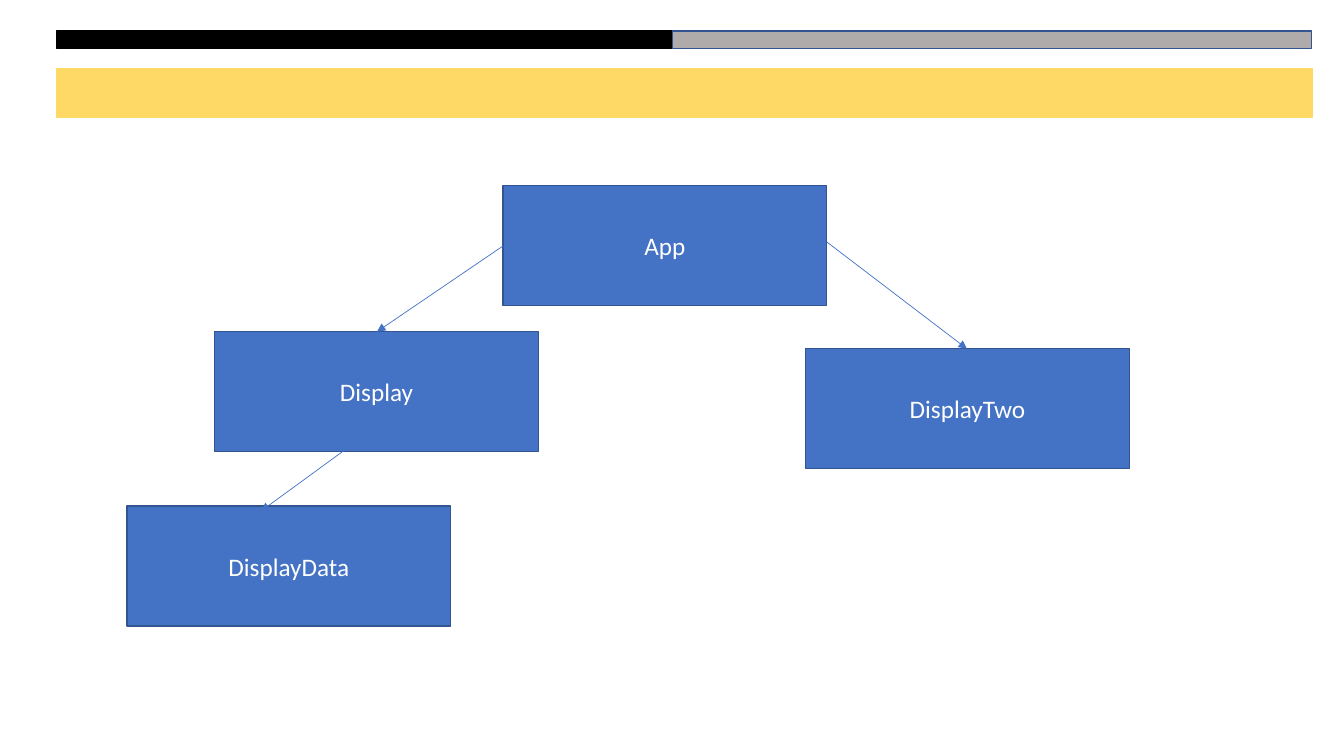
from lxml import etree
from pptx import Presentation
from pptx.dml.color import RGBColor
from pptx.enum.shapes import MSO_CONNECTOR, MSO_SHAPE
from pptx.enum.text import MSO_ANCHOR, PP_ALIGN
from pptx.oxml.ns import qn
from pptx.util import Inches, Pt

BLACK = RGBColor(0x00, 0x00, 0x00)
WHITE = RGBColor(0xFF, 0xFF, 0xFF)
GRAY = RGBColor(0xAF, 0xAB, 0xAB)
YELLOW = RGBColor(0xFF, 0xD9, 0x66)
BLUE = RGBColor(0x44, 0x72, 0xC4)
DARK_BLUE = RGBColor(0x32, 0x54, 0x91)

BARS = [
    (0.56, 0.68, 12.46, 0.48, YELLOW, YELLOW),
    (0.56, 0.31, 8.33, 0.17, BLACK, BLACK),
    (6.67, 0.31, 6.34, 0.17, GRAY, DARK_BLUE),
]
BOX_WIDTH, BOX_HEIGHT = 3.21, 1.19
COMPONENTS = {
    "App": (4.99, 1.84),
    "Display": (2.13, 3.29),
    "DisplayData": (1.26, 5.02),
    "DisplayTwo": (7.99, 3.46),
}
ARROWS = [
    ((4.99, 2.44), (3.74, 3.29)),
    ((3.74, 4.23), (2.59, 5.07)),
    ((8.2, 2.4), (9.59, 3.46)),
]

prs = Presentation()
prs.slide_width, prs.slide_height = Inches(13.33), Inches(7.5)
slide = prs.slides.add_slide(prs.slide_layouts[6])


def add_rectangle(left, top, width, height, fill, line):
    shape = slide.shapes.add_shape(
        MSO_SHAPE.RECTANGLE, *map(Inches, (left, top, width, height)))
    shape.shadow.inherit = False
    shape.fill.solid()
    shape.fill.fore_color.rgb = fill
    shape.line.color.rgb = line
    shape.line.width = Pt(1)
    return shape


def add_component(name, left, top):
    box = add_rectangle(left, top, BOX_WIDTH, BOX_HEIGHT, BLUE, DARK_BLUE)
    frame = box.text_frame
    frame.vertical_anchor = MSO_ANCHOR.MIDDLE
    paragraph = frame.paragraphs[0]
    paragraph.alignment = PP_ALIGN.CENTER
    run = paragraph.add_run()
    run.text = name
    run.font.name = "Calibri"
    run.font.size = Pt(18)
    run.font.color.rgb = WHITE


def add_arrow(start, end):
    arrow = slide.shapes.add_connector(
        MSO_CONNECTOR.STRAIGHT, *map(Inches, start + end))
    arrow.line.color.rgb = BLUE
    arrow.line.width = Pt(0.5)
    etree.SubElement(arrow.line._get_or_add_ln(), qn("a:tailEnd"), type="triangle")
    etree.SubElement(arrow._element.spPr, qn("a:effectLst"))


for bar in BARS:
    add_rectangle(*bar)
for name, corner in COMPONENTS.items():
    add_component(name, *corner)
for start, end in ARROWS:
    add_arrow(start, end)

prs.save("out.pptx")
